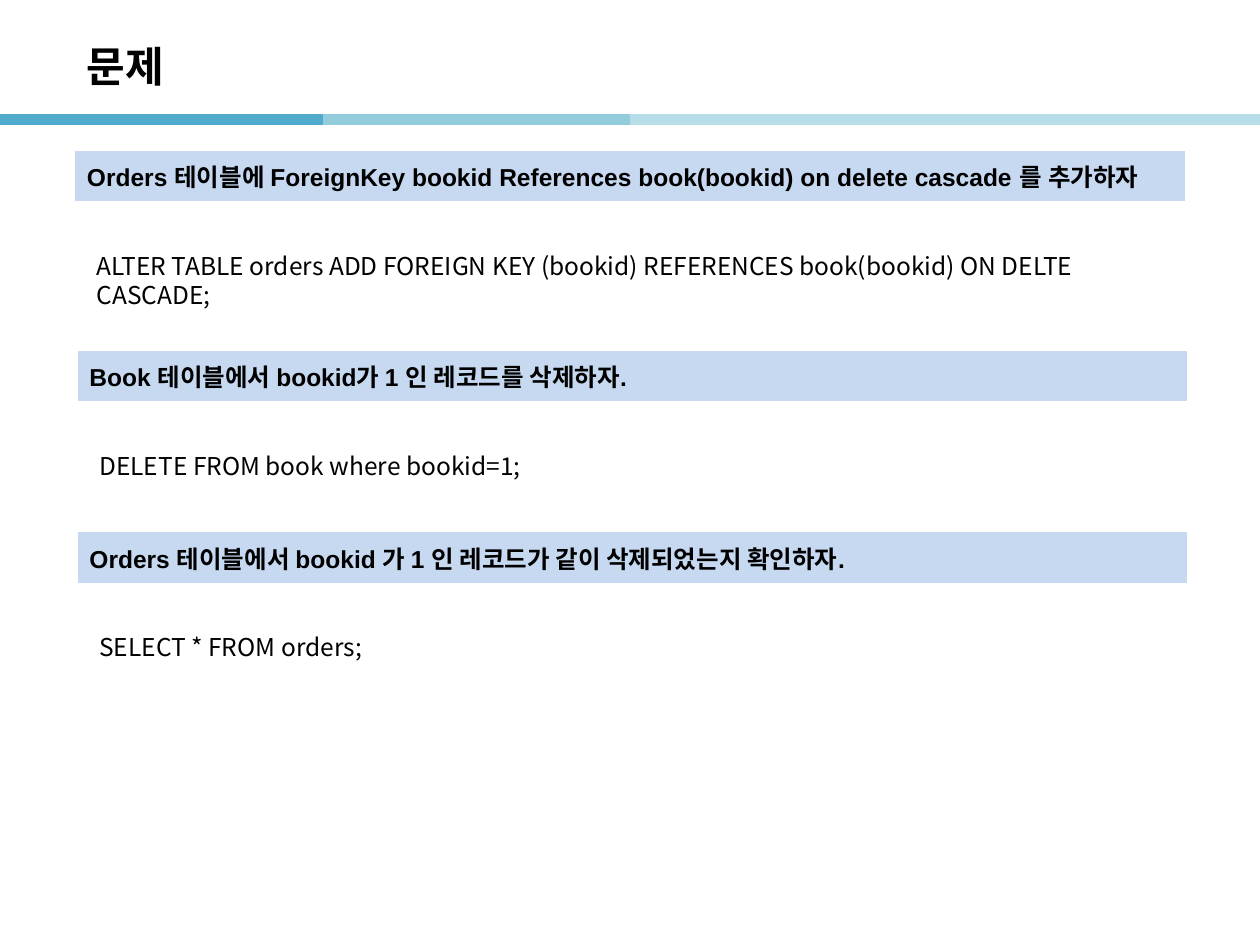
"""Build a slide of three SQL exercises with their answers."""
from dataclasses import dataclass

from lxml import etree
from pptx import Presentation
from pptx.dml.color import RGBColor
from pptx.enum.shapes import MSO_CONNECTOR
from pptx.enum.text import MSO_ANCHOR, PP_ALIGN
from pptx.oxml.ns import qn
from pptx.slide import Slide
from pptx.text.text import TextFrame
from pptx.util import Inches, Pt

STRAIGHT = MSO_CONNECTOR.STRAIGHT
MIDDLE = MSO_ANCHOR.MIDDLE
LEFT = PP_ALIGN.LEFT
TITLE_ONLY = 5


@dataclass(frozen=True)
class Theme:
    text: str = "000000"
    question_fill: str = "C6D9F1"
    blank_fill: str = "FFFFFF"
    latin_font: str = "Arial"
    korean_font: str = "Noto Sans CJK KR"
    title_size: int = 24
    body_size: int = 14
    rule_width: int = 6


@dataclass(frozen=True)
class RuleSegment:
    start: float
    end: float
    color: str


@dataclass(frozen=True)
class Exercise:
    left: float
    top: float
    question: str
    answer: str
    answer_height: float


THEME = Theme()
RULE_TOP = 0.95
TABLE_WIDTH = 8.82
ROW_HEIGHT = 0.41
ANSWER_OFFSET = (0.08, 0.75)
ANSWER_WIDTH = 8.66

TITLE_FORMAT = {"name": THEME.korean_font, "size": Pt(THEME.title_size), "bold": True}
QUESTION_FORMAT = {"name": THEME.latin_font, "size": Pt(THEME.body_size), "bold": True}
ANSWER_FORMAT = {"name": THEME.korean_font, "size": Pt(THEME.body_size), "bold": False}

RULE = (
    RuleSegment(0, 2.56, "50ABCC"),
    RuleSegment(2.56, 5, "93CDDD"),
    RuleSegment(5, 10, "B7DEE8"),
)

EXERCISES = (
    Exercise(
        0.59, 1.19,
        "Orders 테이블에 ForeignKey bookid References book(bookid) on delete cascade 를 추가하자",
        "ALTER TABLE orders ADD FOREIGN KEY (bookid) REFERENCES book(bookid) ON DELTE CASCADE;",
        0.57,
    ),
    Exercise(
        0.61, 2.78,
        "Book 테이블에서 bookid가 1 인 레코드를 삭제하자.",
        "DELETE FROM book where bookid=1;",
        0.81,
    ),
    Exercise(
        0.61, 4.22,
        "Orders 테이블에서 bookid 가 1 인 레코드가 같이 삭제되었는지 확인하자.",
        "SELECT * FROM orders;",
        0.81,
    ),
)


def write_text(frame: TextFrame, text: str, font_format: dict) -> None:
    """Write one left-aligned paragraph in the given format."""
    paragraph = frame.paragraphs[0]
    paragraph.alignment = LEFT
    run = paragraph.add_run()
    run.text = text
    for attribute, value in font_format.items():
        setattr(run.font, attribute, value)
    run.font.color.rgb = RGBColor.from_string(THEME.text)
    properties = run._r.get_or_add_rPr()
    etree.SubElement(properties, qn("a:ea"), typeface=THEME.korean_font)


def add_title(slide: Slide, text: str) -> None:
    """Place and fill the title placeholder."""
    title = slide.shapes.title
    position = {"left": 0.59, "top": 0.22, "width": 8.27, "height": 0.6}
    for attribute, value in position.items():
        setattr(title, attribute, Inches(value))
    title.text_frame.vertical_anchor = MIDDLE
    write_text(title.text_frame, text, TITLE_FORMAT)


def add_rule_segment(slide: Slide, segment: RuleSegment) -> None:
    """Draw one coloured part of the rule below the title."""
    connector = slide.shapes.add_connector(
        STRAIGHT, Inches(segment.start), Inches(RULE_TOP), Inches(segment.end), Inches(RULE_TOP)
    )
    connector.line.color.rgb = RGBColor.from_string(segment.color)
    connector.line.width = Pt(THEME.rule_width)
    etree.SubElement(connector._element.spPr, qn("a:effectLst"))


def add_exercise(slide: Slide, exercise: Exercise) -> None:
    """Draw a question table and the answer over its blank row."""
    table = slide.shapes.add_table(
        2, 1, Inches(exercise.left), Inches(exercise.top),
        Inches(TABLE_WIDTH), Inches(2 * ROW_HEIGHT),
    ).table
    for row, color in zip(table.rows, (THEME.question_fill, THEME.blank_fill)):
        row.height = Inches(ROW_HEIGHT)
        cell = row.cells[0]
        cell.vertical_anchor = MIDDLE
        cell.fill.solid()
        cell.fill.fore_color.rgb = RGBColor.from_string(color)
    write_text(table.cell(0, 0).text_frame, exercise.question, QUESTION_FORMAT)

    offset_x, offset_y = ANSWER_OFFSET
    answer = slide.shapes.add_textbox(
        Inches(exercise.left + offset_x), Inches(exercise.top + offset_y),
        Inches(ANSWER_WIDTH), Inches(exercise.answer_height),
    )
    answer.text_frame.word_wrap = True
    write_text(answer.text_frame, exercise.answer, ANSWER_FORMAT)


def main() -> None:
    """Build and save the presentation."""
    presentation = Presentation()
    presentation.slide_width = Inches(10)
    presentation.slide_height = Inches(7.5)
    slide = presentation.slides.add_slide(presentation.slide_layouts[TITLE_ONLY])
    for segment in RULE:
        add_rule_segment(slide, segment)
    add_title(slide, "문제")
    for exercise in EXERCISES:
        add_exercise(slide, exercise)
    presentation.save("out.pptx")


if __name__ == "__main__":
    main()
